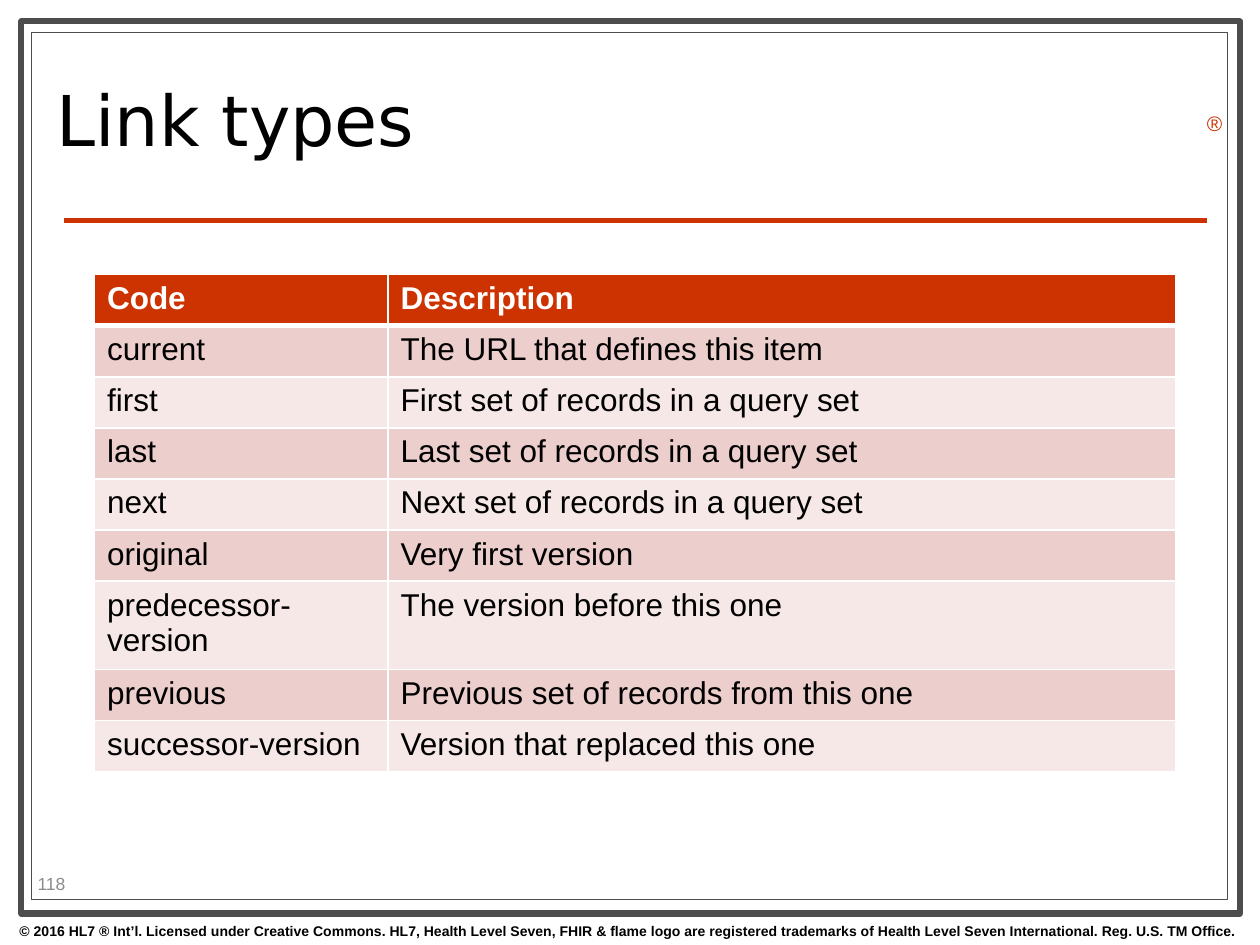
import pptx
import pptx.util
import pptx.dml.color
import pptx.enum.shapes
import pptx.enum.text
import pptx.oxml
import pptx.oxml.ns

# Content
TITLE = "Link types"
SLIDE_NUMBER = "118"
REGISTERED = "®"
COPYRIGHT = (
    "© 2016 HL7 ® Int’l. Licensed under Creative Commons. HL7, Health Level Seven, "
    "FHIR & flame logo are registered trademarks of Health Level Seven International. "
    "Reg. U.S. TM Office."
)
LINK_TYPES = [
    ("Code", "Description"),
    ("current", "The URL that defines this item"),
    ("first", "First set of records in a query set"),
    ("last", "Last set of records in a query set"),
    ("next", "Next set of records in a query set"),
    ("original", "Very first version"),
    ("predecessor-version", "The version before this one"),
    ("previous", "Previous set of records from this one"),
    ("successor-version", "Version that replaced this one"),
]

THEME = {
    "accent": "CC3300", "frame": "4D4D4D", "paper": "FFFFFF", "ink": "000000",
    "muted": "8C8C8C", "bands": ("ECCECC", "F6E8E7"),
    "body_font": "Arial", "title_font": "DejaVu Sans",
    "title_size": 40, "table_size": 18, "mark_size": 12, "number_size": 10, "footer_size": 8,
}

# Layout: a grid of 100 columns by 75 rows of square cells
COLUMNS, ROWS = 100, 75
CELL = pptx.util.Inches(0.1)
FRAMES = [((1.7, 1.7, 96.7, 70.8), 3.5), ((2.5, 2.6, 94.9, 68.8), 0.75)]
RULE = (5.1, 17.5, 95.8, 17.5)
TABLE_LEFT, TABLE_TOP = 7.5, 21.8
TABLE_COLUMNS = (23.3, 62.5)
ROW_HEIGHT = pptx.util.Pt(29.2)

MIDDLE = pptx.enum.text.MSO_ANCHOR.MIDDLE
CENTER = pptx.enum.text.PP_ALIGN.CENTER


def grid(*lengths):
    return [round(length * CELL) for length in lengths]


def color(name):
    return pptx.dml.color.RGBColor.from_string(name)


def set_text(frame, text, size, ink, font="body_font", bold=False, **paragraph_format):
    paragraph = frame.paragraphs[0]
    paragraph.text = text
    for name, value in paragraph_format.items():
        setattr(paragraph, name, value)
    font_format = {"name": THEME[font], "size": pptx.util.Pt(THEME[size]), "bold": bold}
    for name, value in font_format.items():
        setattr(paragraph.runs[0].font, name, value)
    paragraph.runs[0].font.color.rgb = color(THEME[ink])


def add_text(slide, box, text, size, ink, anchor=None, **text_format):
    frame = slide.shapes.add_textbox(*grid(*box)).text_frame
    frame.word_wrap = True
    frame.vertical_anchor = anchor
    set_text(frame, text, size, ink, **text_format)


def set_borders(cell, widths):
    properties = cell._tc.get_or_add_tcPr()
    for side, width in widths.items():
        properties.append(pptx.oxml.parse_xml(
            f'<a:ln{side} {pptx.oxml.ns.nsdecls("a")} w="{pptx.util.Pt(width)}">'
            f'<a:solidFill><a:srgbClr val="{THEME["paper"]}"/></a:solidFill></a:ln{side}>'
        ))


def add_frames(slide):
    for box, width in FRAMES:
        shape = slide.shapes.add_shape(pptx.enum.shapes.MSO_SHAPE.RECTANGLE, *grid(*box))
        shape.shadow.inherit = False
        shape.fill.solid()
        shape.fill.fore_color.rgb = color(THEME["paper"])
        shape.line.color.rgb = color(THEME["frame"])
        shape.line.width = pptx.util.Pt(width)


def add_rule(slide):
    rule = slide.shapes.add_connector(pptx.enum.shapes.MSO_CONNECTOR.STRAIGHT, *grid(*RULE))
    rule.line.color.rgb = color(THEME["accent"])
    rule.line.width = pptx.util.Pt(3)
    rule._element.spPr.append(pptx.oxml.parse_xml(f'<a:effectLst {pptx.oxml.ns.nsdecls("a")}/>'))


def add_link_table(slide):
    count = len(LINK_TYPES)
    box = grid(TABLE_LEFT, TABLE_TOP, sum(TABLE_COLUMNS)) + [ROW_HEIGHT * count]
    table = slide.shapes.add_table(count, len(TABLE_COLUMNS), *box).table
    for column, width in zip(table.columns, grid(*TABLE_COLUMNS)):
        column.width = width
    for row_index, texts in enumerate(LINK_TYPES):
        table.rows[row_index].height = ROW_HEIGHT
        header = row_index == 0
        fill = THEME["accent"] if header else THEME["bands"][(row_index - 1) % 2]
        borders = {"L": 1, "R": 1, "T": 3 if row_index == 1 else 1, "B": 3 if header else 1}
        for column_index, text in enumerate(texts):
            cell = table.cell(row_index, column_index)
            set_borders(cell, borders)
            cell.fill.solid()
            cell.fill.fore_color.rgb = color(fill)
            set_text(cell.text_frame, text, "table_size", "paper" if header else "ink", bold=header)


def main():
    presentation = pptx.Presentation()
    presentation.slide_width, presentation.slide_height = grid(COLUMNS, ROWS)
    slide = presentation.slides.add_slide(presentation.slide_layouts[6])

    # Frame, rule and fixed texts
    add_frames(slide)
    add_rule(slide)
    add_text(slide, (-0.1, 72.7, 100, 2.3), COPYRIGHT, "footer_size", "ink",
             bold=True, alignment=CENTER)
    add_text(slide, (94.8, 8.3, 3.1, 3), REGISTERED, "mark_size", "accent")

    # Title, page number and table
    add_text(slide, (3.5, 3.6, 71.7, 12.9), TITLE, "title_size", "ink", MIDDLE,
             font="title_font", line_spacing=0.8)
    add_text(slide, (2, 68.9, 7.9, 2.4), SLIDE_NUMBER, "number_size", "muted", MIDDLE)
    add_link_table(slide)

    presentation.save("out.pptx")


if __name__ == "__main__":
    main()
